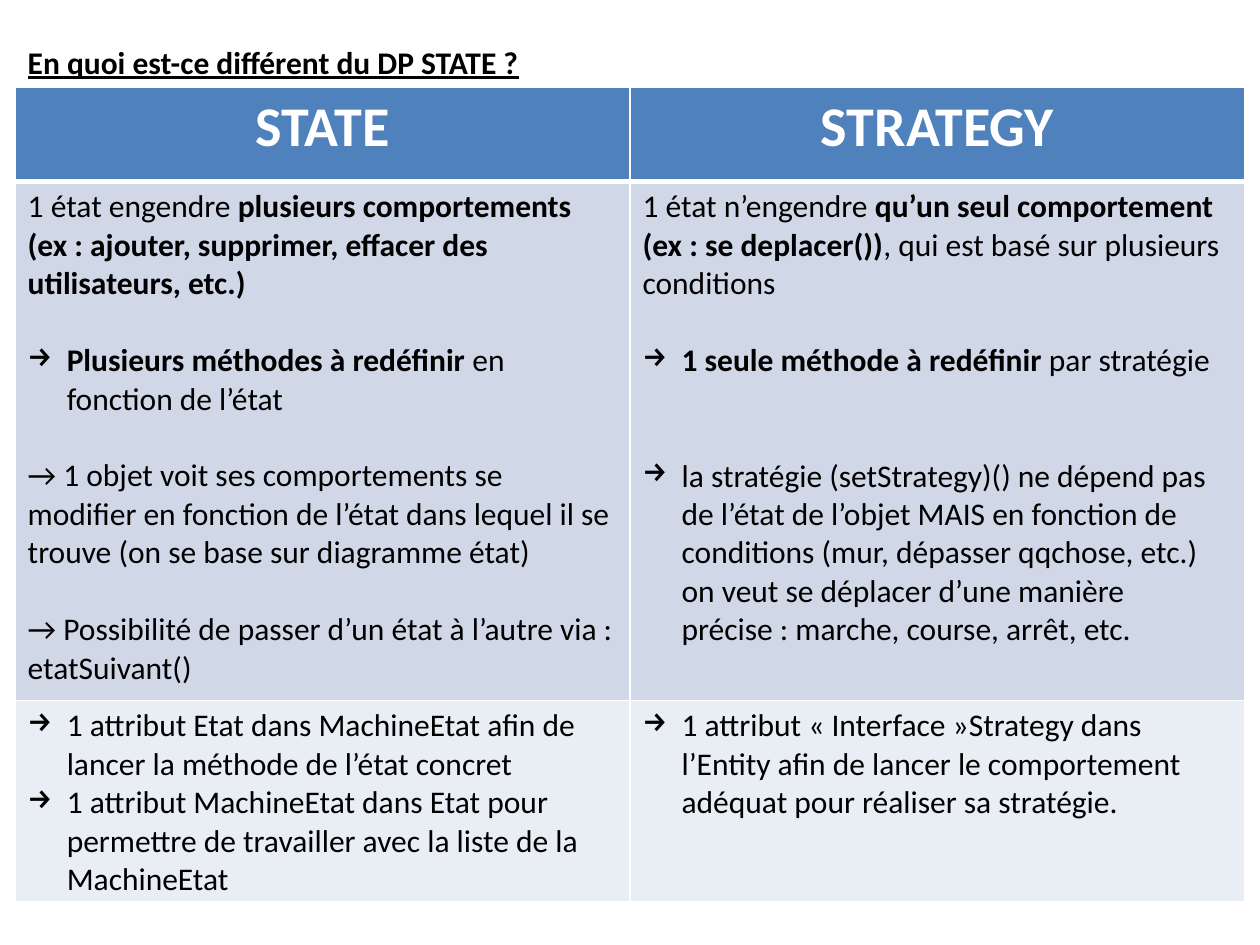
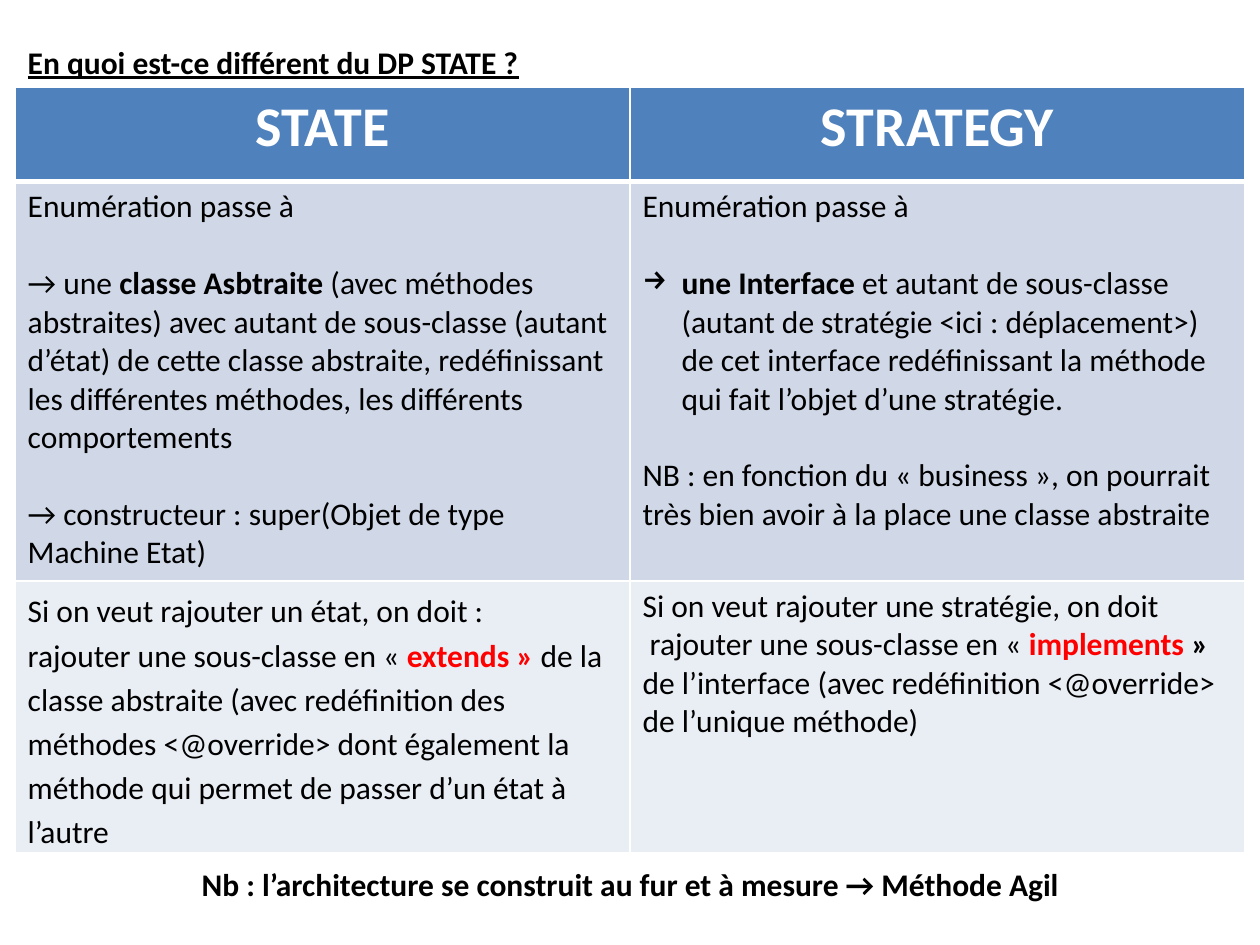
"""Two slides comparing the State and Strategy design patterns in tables."""
from dataclasses import dataclass
from typing import Any

from lxml import etree
from pptx import Presentation
from pptx import util as u
from pptx.dml.color import RGBColor
from pptx.enum import text
from pptx.oxml.ns import qn


@dataclass(frozen=True)
class Theme:
    """Colours, font, type sizes and cell measures."""
    font: str = "Calibri"
    ink: str = "000000"
    white: str = "FFFFFF"
    accent: str = "FF0000"
    header: str = "4F81BD"
    bands: tuple[str, str] = ("D0D8E8", "E9EDF4")
    body_pt: int = 18
    header_pt: int = 32
    line_pt: int = 22
    indent: float = 0.31
    rule_pt: int = 1
    header_rule_pt: int = 3


@dataclass(frozen=True)
class Box:
    """Place given in percent of the slide's width and height."""
    x: float
    y: float
    w: float
    h: float


@dataclass(frozen=True)
class Run:
    """Stretch of text in one style."""
    words: str
    bold: bool = False
    color: str = "000000"
    size: int = 18
    underline: bool = False


@dataclass(frozen=True)
class Para:
    """Paragraph, with the number of lines left free above it."""
    runs: tuple[Run, ...]
    arrow: bool = False
    gap: int = 0
    spacing: float = 1.0
    align: Any = text.PP_ALIGN.LEFT


@dataclass(frozen=True)
class Comparison:
    """One slide: row heights in percent, body cells and closing note."""
    heights: tuple[float, ...]
    rows: tuple[tuple[tuple[Para, ...], ...], ...]
    note: str = ""


T = Theme()
WIDTH, HEIGHT = u.Inches(10), u.Inches(7.5)
TITLE = "En quoi est-ce différent du DP STATE ?"
HEADINGS = ("STATE", "STRATEGY")
TITLE_BOX = Box(1.2, 3.87, 96.1, 5.33)
TABLE_BOX = Box(1.2, 9.2, 97.6, 86.4)
NOTE_BOX = Box(2.8, 90.93, 94.5, 9.07)


def bold(words: str, color: str = T.ink) -> Run:
    """Return a bold run."""
    return Run(words, True, color)


def para(*runs: str | Run, **layout: Any) -> Para:
    """Return a paragraph from plain strings and styled runs."""
    return Para(tuple(Run(r) if isinstance(r, str) else r for r in runs), **layout)


SLIDES = (
    Comparison((10, 54.93, 21.33), (
        ((para("1 état engendre ",
               bold("plusieurs comportements (ex : ajouter, supprimer, effacer "
                    "des utilisateurs, etc.)")),
          para(bold("Plusieurs méthodes à redéfinir"), " en fonction de l’état",
               arrow=True, gap=1),
          para("→ 1 objet voit ses comportements se modifier en fonction de l’état "
               "dans lequel il se trouve (on se base sur diagramme état)", gap=1),
          para("→ Possibilité de passer d’un état à l’autre via : etatSuivant()",
               gap=1)),
         (para("1 état n’engendre ",
               bold("qu’un seul comportement (ex : se deplacer())"),
               ", qui est basé sur plusieurs conditions"),
          para(bold("1 seule méthode à redéfinir "), "par stratégie",
               arrow=True, gap=1),
          para("la stratégie (setStrategy)() ne dépend pas de l’état de l’objet MAIS "
               "en fonction de conditions (mur, dépasser qqchose, etc.) on veut se "
               "déplacer d’une manière précise : marche, course, arrêt, etc.",
               arrow=True, gap=2))),
        ((para("1 attribut Etat dans MachineEtat afin de lancer la méthode de "
               "l’état concret", arrow=True),
          para("1 attribut MachineEtat dans Etat pour permettre de travailler avec "
               "la liste de la MachineEtat", arrow=True)),
         (para("1 attribut « Interface »Strategy dans l’Entity afin de lancer le "
               "comportement adéquat pour réaliser sa stratégie.", arrow=True),)),
    )),
    Comparison((10, 42.27, 28.75), (
        ((para("Enumération passe à"),
          para("→ une ", bold("classe Asbtraite"),
               " (avec méthodes abstraites) avec autant de sous-classe (autant "
               "d’état) de cette classe abstraite, redéfinissant les différentes "
               "méthodes, les différents comportements", gap=1),
          para("→ constructeur : super(Objet de type Machine Etat)", gap=1)),
         (para("Enumération passe à"),
          para(bold("une Interface"),
               " et autant de sous-classe (autant de stratégie <ici : déplacement>) "
               "de cet interface redéfinissant la méthode qui fait l’objet d’une "
               "stratégie.", arrow=True, gap=1),
          para("NB : en fonction du « business », on pourrait très bien avoir à la "
               "place une classe abstraite", gap=1))),
        ((para("Si on veut rajouter un état, on doit :", spacing=1.15),
          para("rajouter une sous-classe en « ", bold("extends »", T.accent),
               " de la classe abstraite (avec redéfinition des méthodes <@override> "
               "dont également la méthode qui permet de passer d’un état à l’autre",
               spacing=1.15)),
         (para("Si on veut rajouter une stratégie, on doit"),
          para(" rajouter une sous-classe en « ", bold("implements", T.accent),
               bold(" »"), " de l’interface (avec redéfinition <@override> de "
               "l’unique méthode)"))),
    ), "Nb : l’architecture se construit au fur et à mesure → Méthode Agil"),
)


def frame(box: Box) -> tuple[int, int, int, int]:
    """Turn shares of the slide into lengths."""
    return (int(WIDTH * box.x / 100), int(HEIGHT * box.y / 100),
            int(WIDTH * box.w / 100), int(HEIGHT * box.h / 100))


def apply(target: Any, values: dict[str, Any]) -> None:
    """Set each named attribute on the target."""
    for name, value in values.items():
        setattr(target, name, value)


def add_arrow(p: Any) -> None:
    """Give a paragraph a hanging arrow bullet."""
    pPr = p._p.get_or_add_pPr()
    indent = u.Inches(T.indent)
    pPr.set("marL", str(indent))
    pPr.set("indent", str(-indent))
    etree.SubElement(pPr, qn("a:buChar")).set("char", "→")


def write(tf: Any, paras: tuple[Para, ...]) -> None:
    """Fill a text frame with paragraphs."""
    for i, item in enumerate(paras):
        p = tf.paragraphs[0] if i == 0 else tf.add_paragraph()
        apply(p, {"alignment": item.align, "line_spacing": item.spacing,
                  "space_before": u.Pt(item.gap * T.line_pt)})
        if item.arrow:
            add_arrow(p)
        for run in item.runs:
            r = p.add_run()
            r.text = run.words
            apply(r.font, {"name": T.font, "size": u.Pt(run.size), "bold": run.bold,
                           "underline": run.underline})
            r.font.color.rgb = RGBColor.from_string(run.color)


def style_cell(cell: Any, fill: str, top: int, bottom: int) -> None:
    """Draw a cell's white borders and its fill."""
    tcPr = cell._tc.get_or_add_tcPr()
    sides = {"lnL": T.rule_pt, "lnR": T.rule_pt, "lnT": top, "lnB": bottom}
    for tag, width in sides.items():
        ln = etree.SubElement(tcPr, qn(f"a:{tag}"), w=str(u.Pt(width)))
        solid = etree.SubElement(ln, qn("a:solidFill"))
        etree.SubElement(solid, qn("a:srgbClr"), val=T.white)
    cell.fill.solid()
    cell.fill.fore_color.rgb = RGBColor.from_string(fill)
    cell.margin_bottom = 0


def add_title(s: Any) -> None:
    """Place and format the title placeholder."""
    sp = s.shapes.title
    apply(sp, dict(zip(("left", "top", "width", "height"), frame(TITLE_BOX))))
    apply(sp.text_frame, {"word_wrap": True, "vertical_anchor": text.MSO_ANCHOR.TOP,
                          "auto_size": text.MSO_AUTO_SIZE.NONE})
    write(sp.text_frame, (para(Run(TITLE, True, underline=True)),))


def add_comparison(s: Any, data: Comparison) -> None:
    """Draw the comparison table."""
    box = Box(TABLE_BOX.x, TABLE_BOX.y, TABLE_BOX.w, sum(data.heights))
    header = tuple((para(Run(h, True, T.white, T.header_pt),
                         align=text.PP_ALIGN.CENTER),) for h in HEADINGS)
    rows = (header, *data.rows)
    table = s.shapes.add_table(len(rows), len(HEADINGS), *frame(box)).table
    for i, (row, height) in enumerate(zip(rows, data.heights)):
        table.rows[i].height = int(HEIGHT * height / 100)
        fill = (T.header, *T.bands)[i]
        top = T.header_rule_pt if i == 1 else T.rule_pt
        bottom = T.header_rule_pt if i == 0 else T.rule_pt
        for j, paras in enumerate(row):
            cell = table.cell(i, j)
            style_cell(cell, fill, top, bottom)
            write(cell.text_frame, paras)


def add_note(s: Any, words: str) -> None:
    """Write the centred closing note."""
    tf = s.shapes.add_textbox(*frame(NOTE_BOX)).text_frame
    tf.word_wrap = True
    write(tf, (para(bold(words), align=text.PP_ALIGN.CENTER),))


def main() -> None:
    """Build and save the slides."""
    prs = Presentation()
    apply(prs, {"slide_width": WIDTH, "slide_height": HEIGHT})
    for data in SLIDES:
        s = prs.slides.add_slide(prs.slide_layouts[5])
        add_title(s)
        add_comparison(s, data)
        if data.note:
            add_note(s, data.note)
    prs.save("out.pptx")


if __name__ == "__main__":
    main()
